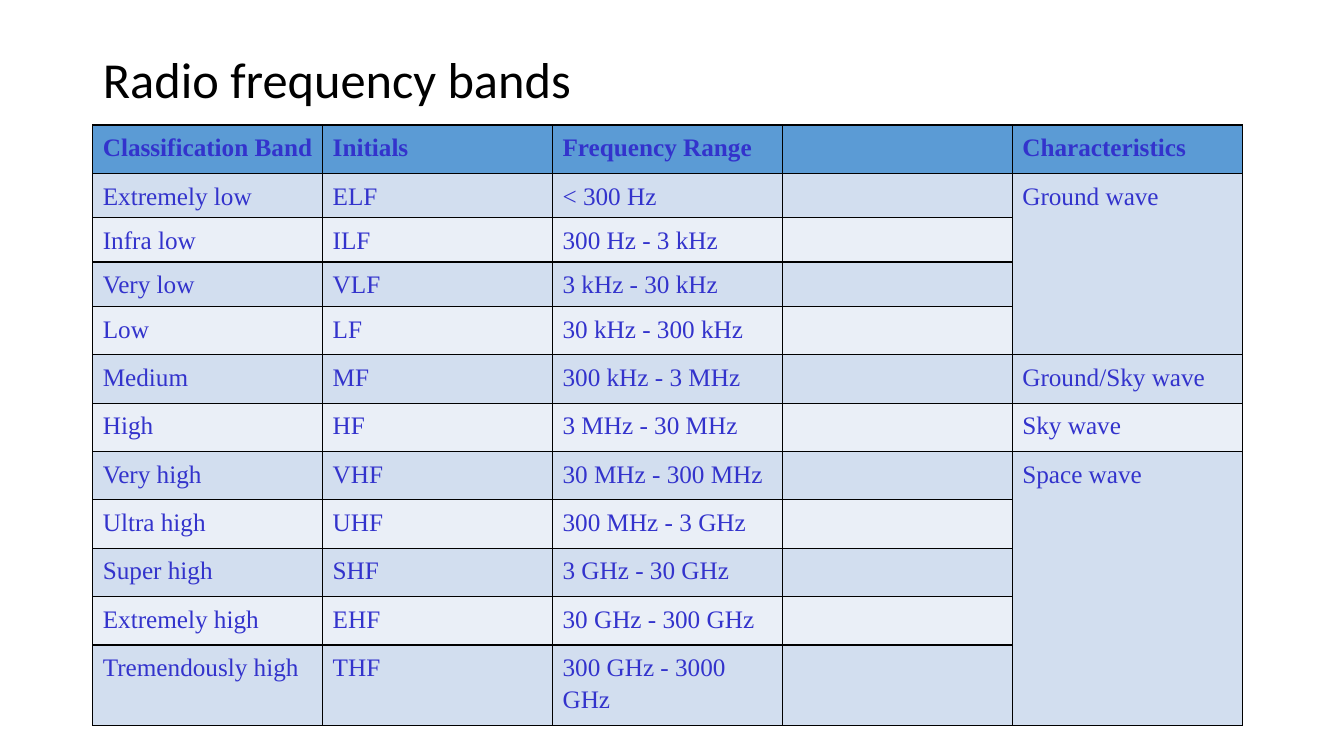
from lxml import etree
from pptx import Presentation
from pptx import util as u
from pptx.dml.color import RGBColor
from pptx.enum import text
from pptx.oxml import ns

BLACK = RGBColor(0x00, 0x00, 0x00)
INDIGO = RGBColor(0x33, 0x33, 0xCC)
HEADER = RGBColor(0x5B, 0x9B, 0xD5)
BAND_DARK = RGBColor(0xD2, 0xDE, 0xEF)
BAND_LIGHT = RGBColor(0xEA, 0xEF, 0xF7)

LEFT, TABLE_TOP = u.Inches(0.92), u.Inches(1.24)
COL_WIDTH = u.Inches(2.28)
ROW_HEIGHTS = [0.48] + [0.44] * 3 + [0.48] * 7 + [0.8]

# Band name, initials, range, blank column, wave type
BANDS = [
    ("Classification Band", "Initials", "Frequency Range", "", "Characteristics"),
    ("Extremely low", "ELF", "< 300 Hz", "", "Ground wave"),
    ("Infra low", "ILF", "300 Hz - 3 kHz", "", ""),
    ("Very low", "VLF", "3 kHz - 30 kHz", "", ""),
    ("Low", "LF", "30 kHz - 300 kHz", "", ""),
    ("Medium", "MF", "300 kHz - 3 MHz", "", "Ground/Sky wave"),
    ("High", "HF", "3 MHz - 30 MHz", "", "Sky wave"),
    ("Very high", "VHF", "30 MHz - 300 MHz", "", "Space wave"),
    ("Ultra high", "UHF", "300 MHz - 3 GHz", "", ""),
    ("Super high", "SHF", "3 GHz - 30 GHz", "", ""),
    ("Extremely high", "EHF", "30 GHz - 300 GHz", "", ""),
    ("Tremendously high", "THF", "300 GHz - 3000 GHz", "", ""),
]
MERGED_WAVES = [(1, 4), (7, 11)]  # first and last row of each merged wave type


def add_borders(cell):
    tcPr = cell._tc.get_or_add_tcPr()
    for side in ("lnL", "lnR", "lnT", "lnB"):
        ln = etree.SubElement(tcPr, ns.qn(f"a:{side}"), w=str(u.Pt(1)))
        fill = etree.SubElement(ln, ns.qn("a:solidFill"))
        etree.SubElement(fill, ns.qn("a:srgbClr"), val=str(BLACK))


def format_text(p, font, size, color, bold=False):
    for r in p.runs:
        r.font.name = font
        r.font.size = u.Pt(size)
        r.font.color.rgb = color
        r.font.bold = bold


prs = Presentation()
prs.slide_width, prs.slide_height = u.Inches(13.33), u.Inches(7.5)
s = prs.slides.add_slide(prs.slide_layouts[5])

# Title
title = s.shapes.title
title.left, title.top = LEFT, u.Inches(0.4)
title.width, title.height = u.Inches(11.5), u.Inches(0.84)
tf = title.text_frame
tf.text = "Radio frequency bands"
tf.vertical_anchor = text.MSO_ANCHOR.MIDDLE
p = tf.paragraphs[0]
p.alignment = text.PP_ALIGN.LEFT
p.line_spacing = 0.9
format_text(p, "Calibri", 36, BLACK)

# Table grid
n_cols = len(BANDS[0])
table = s.shapes.add_table(len(BANDS), n_cols, LEFT, TABLE_TOP,
                           COL_WIDTH * n_cols, u.Inches(sum(ROW_HEIGHTS))).table
for col in table.columns:
    col.width = COL_WIDTH
for row, height in zip(table.rows, ROW_HEIGHTS):
    row.height = u.Inches(height)

# Cells: header row, then alternating bands
for i, band in enumerate(BANDS):
    color = HEADER if i == 0 else BAND_DARK if i % 2 else BAND_LIGHT
    for j, label in enumerate(band):
        cell = table.cell(i, j)
        add_borders(cell)
        cell.fill.solid()
        cell.fill.fore_color.rgb = color
        if label:
            cell.text_frame.text = label
            p = cell.text_frame.paragraphs[0]
            p.line_spacing = 1.15
            p.space_before = u.Pt(4.8)
            format_text(p, "Times New Roman", 18, INDIGO, bold=i == 0)

# Wave types that cover several bands
for first, last in MERGED_WAVES:
    table.cell(first, n_cols - 1).merge(table.cell(last, n_cols - 1))

prs.save("out.pptx")
